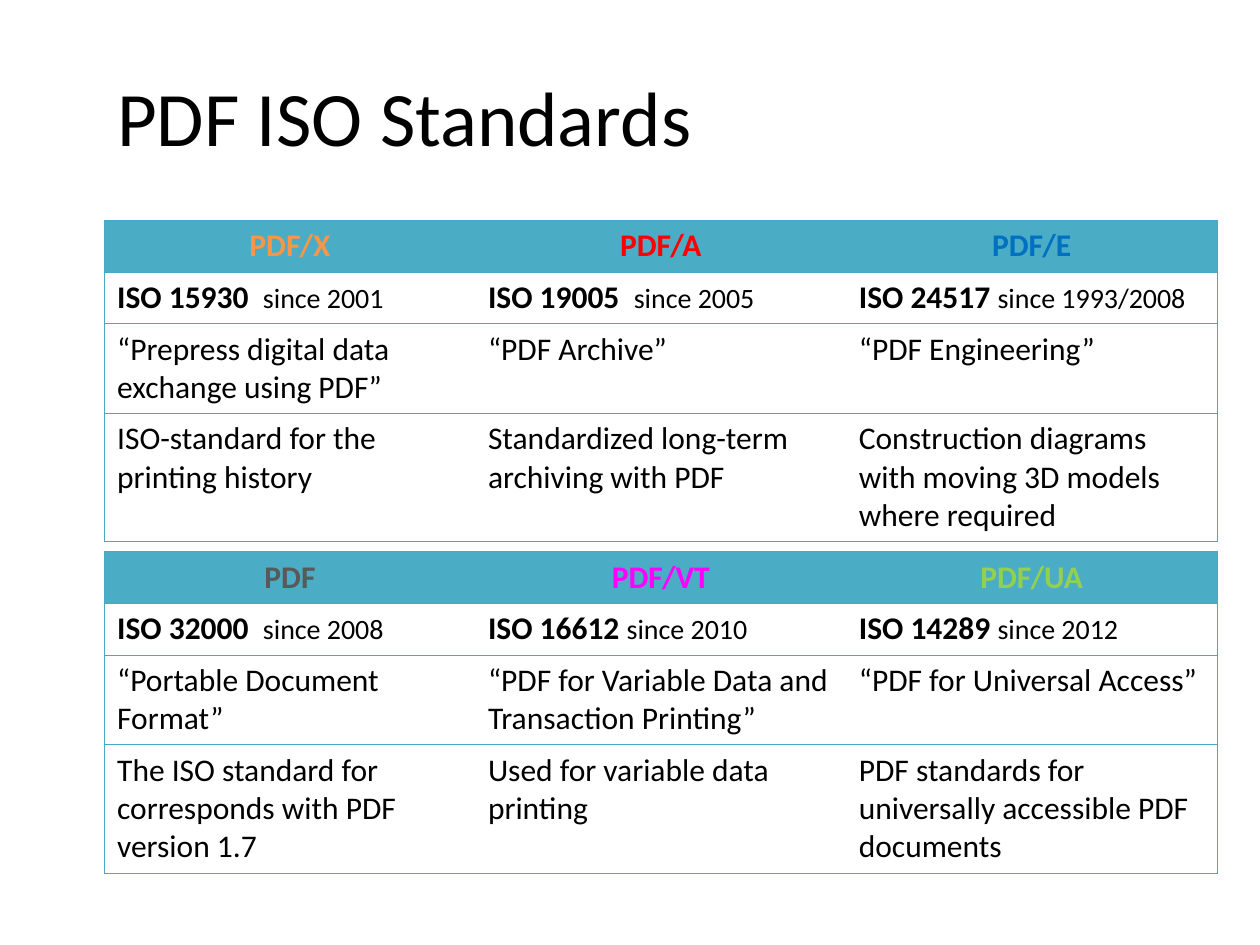
from pptx import Presentation
from pptx.dml.color import RGBColor
from pptx.enum.text import MSO_ANCHOR as Anchor, PP_ALIGN as Align
from pptx.oxml.ns import qn
from pptx.util import Inches, Pt
from lxml.etree import SubElement

FONT = "Calibri"
BLACK = "000000"
TEAL = "4BACC6"
BORDER = "46AAC5"
LEFT, WIDTH = 0.83, 8.83
ROW_HEIGHTS = (0.41, 0.41, 0.71, 1.02)

EXCHANGE_STANDARDS = [
    ("PDF/X", "F79646", "ISO 15930  ", "since 2001",
     "“Prepress digital data exchange using PDF”",
     "ISO-standard for the printing history"),
    ("PDF/A", "FF0000", "ISO 19005  ", "since 2005",
     "“PDF Archive”",
     "Standardized long-term archiving with PDF"),
    ("PDF/E", "0070C0", "ISO 24517 ", "since 1993/2008",
     "“PDF Engineering”",
     "Construction diagrams with moving 3D models where required"),
]
DOCUMENT_STANDARDS = [
    ("PDF", "595959", "ISO 32000  ", "since 2008",
     "“Portable Document Format”",
     "The ISO standard for corresponds with PDF version 1.7"),
    ("PDF/VT", "FF00FF", "ISO 16612 ", "since 2010",
     "“PDF for Variable Data and Transaction Printing”",
     "Used for variable data printing"),
    ("PDF/UA", "92D050", "ISO 14289 ", "since 2012",
     "“PDF for Universal Access”",
     "PDF standards for universally accessible PDF documents"),
]


def rgb(value):
    return RGBColor.from_string(value)


def add_run(para, text, size=18, color=BLACK, bold=False):
    span = para.add_run()
    span.text = text
    span.font.name = FONT
    span.font.size = Pt(size)
    span.font.bold = bold
    span.font.color.rgb = rgb(color)


def set_borders(cell, visible_sides):
    properties = cell._tc.get_or_add_tcPr()
    for side in "LRTB":
        line = SubElement(properties, qn(f"a:ln{side}"), w=str(Pt(0.75)))
        if side in visible_sides:
            fill = SubElement(line, qn("a:solidFill"))
            SubElement(fill, qn("a:srgbClr"), val=BORDER)
        else:
            SubElement(line, qn("a:noFill"))


def add_title(page, text, left, top, width, height):
    box = page.shapes.title
    box.left, box.top = Inches(left), Inches(top)
    box.width, box.height = Inches(width), Inches(height)
    box.text_frame.vertical_anchor = Anchor.MIDDLE
    para = box.text_frame.paragraphs[0]
    para.alignment = Align.LEFT
    add_run(para, text, 44)


def add_standards(page, standards, left, top, width):
    count = len(standards)
    table = page.shapes.add_table(
        len(ROW_HEIGHTS), count, Inches(left), Inches(top),
        Inches(width), Inches(sum(ROW_HEIGHTS))).table
    table.horz_banding = False
    for row, height in zip(table.rows, ROW_HEIGHTS):
        row.height = Inches(height)
    for col, (name, color, number, since, title, purpose) in enumerate(standards):
        table.columns[col].width = Inches(width / count)
        contents = [
            [(name, 18, color, True)],
            [(number, 18, BLACK, True), (since, 16)],
            [(title,)],
            [(purpose,)],
        ]
        outer_sides = "L" * (col == 0) + "R" * (col == count - 1)
        for row, runs in enumerate(contents):
            cell = table.cell(row, col)
            set_borders(cell, "TB" + outer_sides)
            para = cell.text_frame.paragraphs[0]
            if row == 0:
                cell.fill.solid()
                cell.fill.fore_color.rgb = rgb(TEAL)
                para.alignment = Align.CENTER
            else:
                cell.fill.background()
            for run in runs:
                add_run(para, *run)


def main():
    deck = Presentation()
    deck.slide_width, deck.slide_height = Inches(10), Inches(7.5)
    page = deck.slides.add_slide(deck.slide_layouts.get_by_name("Title Only"))
    add_title(page, "PDF ISO Standards", LEFT, 0.29, WIDTH, 1.25)
    add_standards(page, EXCHANGE_STANDARDS, LEFT, 1.75, WIDTH)
    add_standards(page, DOCUMENT_STANDARDS, LEFT, 4.38, WIDTH)
    deck.save("out.pptx")


if __name__ == "__main__":
    main()
